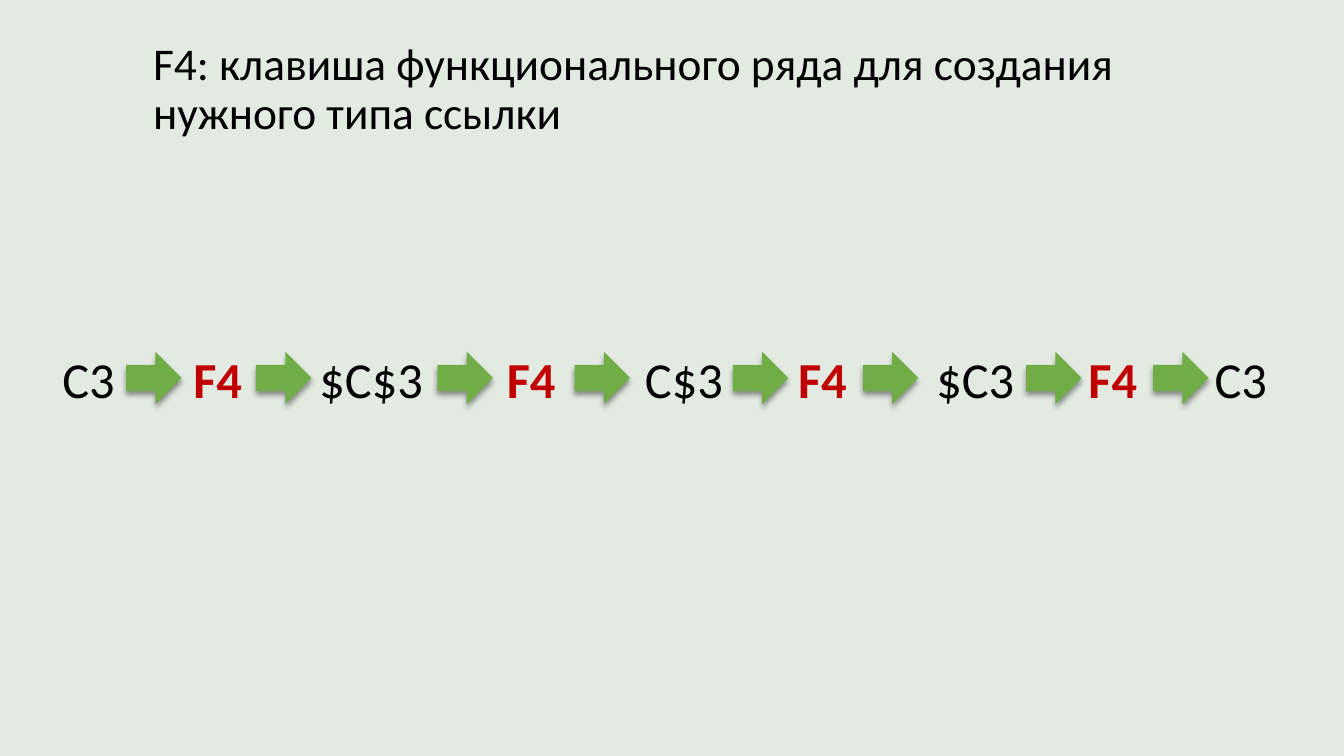
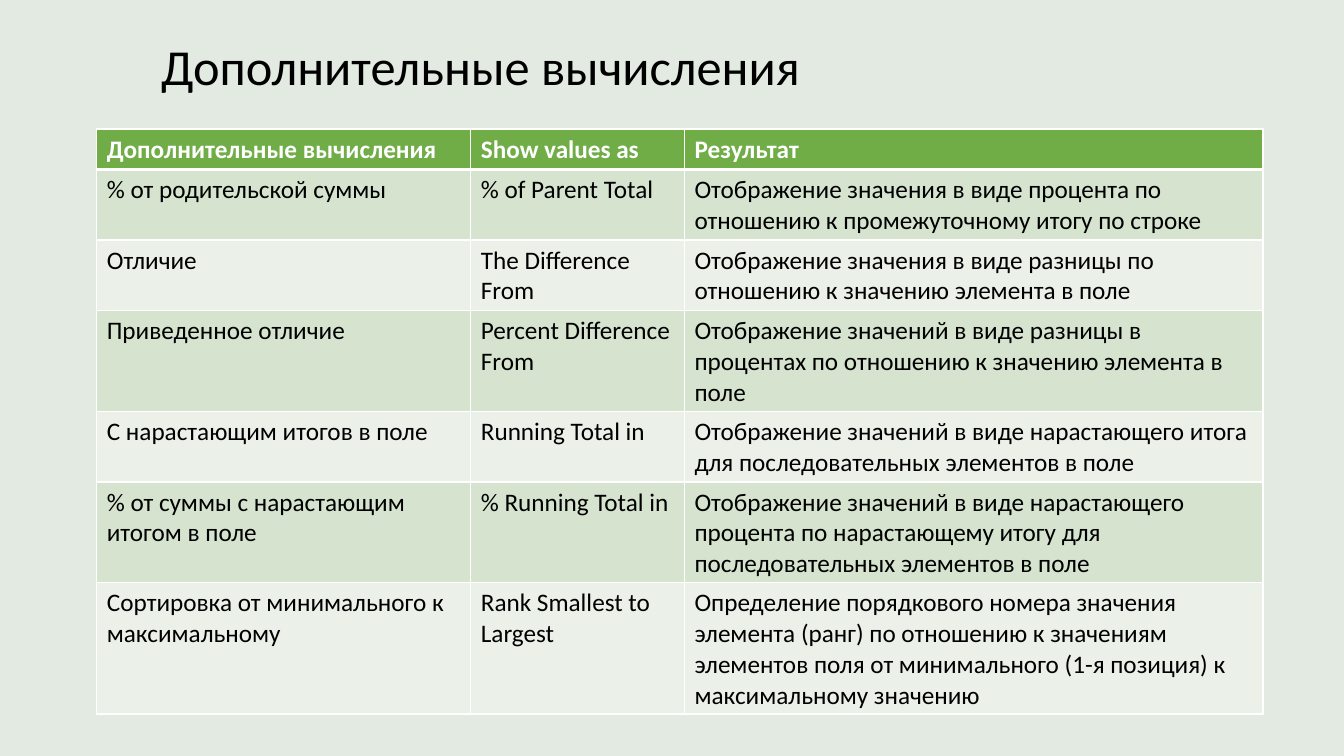
import pptx
import pptx.util
import pptx.dml.color
import pptx.enum.shapes
import pptx.enum.text
import pptx.oxml
import pptx.oxml.ns

HUES = {
    "back": "E3EAE2", "ink": "000000", "key": "C00000", "green": "70AD47",
    "odd": "D5E3CF", "even": "EBF1E9", "white": "FFFFFF",
}
FONT = "Calibri"
SPACE = pptx.oxml.ns.nsdecls("a")
ANCHOR = pptx.enum.text.MSO_ANCHOR
FIT = pptx.enum.text.MSO_AUTO_SIZE
ARROW = pptx.enum.shapes.MSO_SHAPE.RIGHT_ARROW


def tint(name):
    return pptx.dml.color.RGBColor.from_string(HUES[name])


def put(target, values):
    for name, value in values.items():
        setattr(target, name, value)


class Deck:
    """Style and current slide; lengths are percent of the slide's size."""

    def __init__(self):
        self.prs = pptx.Presentation()
        put(self.prs, {"slide_width": pptx.util.Inches(13.33),
                       "slide_height": pptx.util.Inches(7.5)})
        fill = self.prs.slide_master.background.fill
        fill.solid()
        fill.fore_color.rgb = tint("back")

    def wide(self, share):
        return round(self.prs.slide_width * share / 100)

    def high(self, share):
        return round(self.prs.slide_height * share / 100)

    def box(self, x, y, w, h):
        return self.wide(x), self.high(y), self.wide(w), self.high(h)

    def slide(self):
        self.page = self.prs.slides.add_slide(self.prs.slide_layouts[6])
        self.shapes = self.page.shapes

    def group(self):
        self.shapes = self.page.shapes.add_group_shape().shapes

    def run(self, para, text, size, hue="ink", bold=False):
        run = para.add_run()
        run.text = text
        put(run.font, {"name": FONT, "size": pptx.util.Pt(size), "bold": bold})
        run.font.color.rgb = tint(hue)

    def text(self, place, **style):
        frame = self.shapes.add_textbox(*self.box(*place)).text_frame
        put(frame, {"word_wrap": True, **style})
        return frame.paragraphs[0]

    def title(self, text, x, y, size):
        para = self.text((x, y, 81.9, 10.93), vertical_anchor=ANCHOR.MIDDLE)
        para.line_spacing = 0.9
        self.run(para, text, size)

    def chain(self, place, parts, stops):
        """One line of words, each after the first set at its own tab stop."""
        para = self.text(place, auto_size=FIT.SHAPE_TO_FIT_TEXT)
        tabs = "".join(f'<a:tab pos="{self.wide(stop)}" algn="l"/>' for stop in stops)
        para._p.get_or_add_pPr().append(
            pptx.oxml.parse_xml(f"<a:tabLst {SPACE}>{tabs}</a:tabLst>"))
        for i, part in enumerate(parts):
            key = part == "F4"
            self.run(para, "\t" + part if i else part, 36, "key" if key else "ink", key)

    def arrow(self, x, y):
        shape = self.shapes.add_shape(ARROW, *self.box(x, y, 4.13, 6.93))
        shape.fill.solid()
        shape.fill.fore_color.rgb = tint("green")
        shape.line.fill.background()
        shape.shadow.inherit = False
        glow = shape._element.spPr.find(pptx.oxml.ns.qn("a:effectLst"))
        blur, gap = pptx.util.Pt(4), pptx.util.Pt(3)
        glow.append(pptx.oxml.parse_xml(
            f'<a:outerShdw {SPACE} blurRad="{blur}" dist="{gap}" dir="5400000" '
            f'rotWithShape="0"><a:srgbClr val="{HUES["ink"]}"><a:alpha val="40000"/>'
            "</a:srgbClr></a:outerShdw>"))

    def edge(self, cell, **widths):
        for side, width in widths.items():
            cell._tc.get_or_add_tcPr().append(pptx.oxml.parse_xml(
                f'<a:ln{side} {SPACE} w="{pptx.util.Pt(width)}"><a:solidFill>'
                f'<a:srgbClr val="{HUES["white"]}"/></a:solidFill></a:ln{side}>'))

    def table(self, x, y, cols, lines, rows):
        """A header row and banded rows, each as high as its lines of text."""
        highs = [1.33 + 4 * count for count in lines]
        place = self.box(x, y, sum(cols), sum(highs))
        grid = self.shapes.add_table(len(rows), len(cols), *place).table
        for col, share in zip(grid.columns, cols):
            col.width = self.wide(share)
        for r, (row, share) in enumerate(zip(grid.rows, highs)):
            row.height = self.high(share)
            head = r == 0
            band = "green" if head else "odd" if r % 2 else "even"
            for cell, words in zip(row.cells, rows[r]):
                self.edge(cell, L=1, R=1, T=3 if r == 1 else 1, B=3 if head else 1)
                cell.fill.solid()
                cell.fill.fore_color.rgb = tint(band)
                self.run(cell.text_frame.paragraphs[0], words, 18,
                         "white" if head else "ink", head)


KEYS = ["C3", "F4", "$C$3", "F4", "C$3", "F4", "$C3", "F4", "C3"]
STOPS = [9.75, 19.13, 33.08, 43.35, 54.75, 65.03, 76.35, 85.73]
ARROWS = [9.38, 19.05, 32.55, 42.75, 54.53, 64.2, 76.35, 85.8]
ROWS = [
    ("Дополнительные вычисления", "Show values as", "Результат"),
    ("% от родительской суммы", "% of Parent Total",
     "Отображение значения в виде процента по отношению к промежуточному итогу по строке"),
    ("Отличие", "The Difference From",
     "Отображение значения в виде разницы по отношению к значению элемента в поле"),
    ("Приведенное отличие", "Percent Difference From",
     "Отображение значений в виде разницы в процентах по отношению к значению "
     "элемента в поле"),
    ("С нарастающим итогов в поле", "Running Total in",
     "Отображение значений в виде нарастающего итога для последовательных элементов в поле"),
    ("% от суммы с нарастающим итогом в поле", "% Running Total in",
     "Отображение значений в виде нарастающего процента по нарастающему итогу для "
     "последовательных элементов в поле"),
    ("Сортировка от минимального к максимальному", "Rank Smallest to Largest",
     "Определение порядкового номера значения элемента (ранг) по отношению к значениям "
     "элементов поля от минимального (1-я позиция) к максимальному значению"),
]


def main():
    deck = Deck()

    # Reference types cycled by the F4 key
    deck.slide()
    deck.title("F4: клавиша функционального ряда для создания нужного типа ссылки",
               10.65, 6.53, 32.4)
    deck.group()
    deck.chain((3.9, 45.33, 93.45, 9.47), KEYS, STOPS)
    for x in ARROWS:
        deck.arrow(x, 46.53)

    # Table of extra calculations
    deck.slide()
    deck.title("Дополнительные вычисления", 11.25, 3.73, 36)
    deck.table(7.2, 17.07, (27.83, 15.9, 43.05), (1, 2, 2, 3, 2, 3, 4), ROWS)

    deck.prs.save("out.pptx")


if __name__ == "__main__":
    main()
